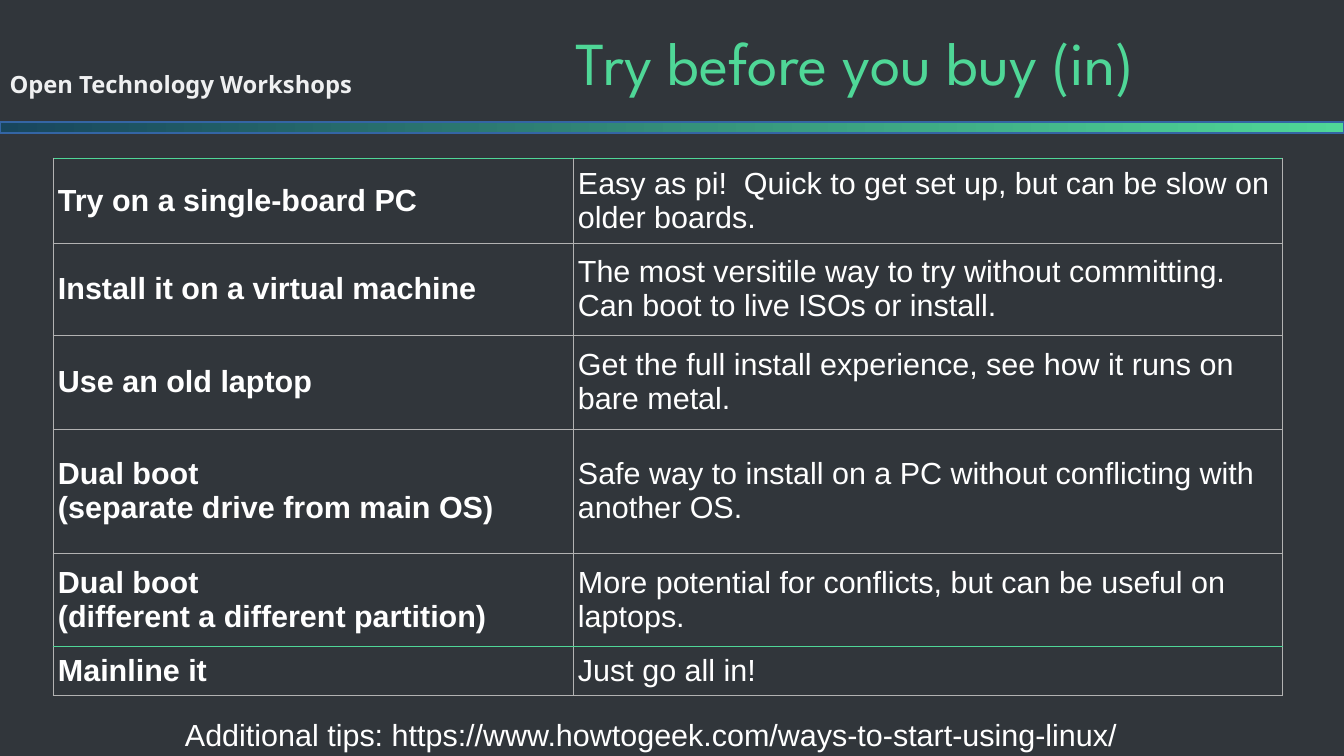
"""Build the slide that compares ways to try an open system before switching."""
from lxml import etree
from pptx import Presentation, util as u
from pptx.dml.color import RGBColor
from pptx.enum import shapes, text
from pptx.oxml import ns

PX = 914400 / 122
GREEN, GREY, WHITE = "4FD797", "B2B2B2", "FFFFFF"


def rgb(value):
    return RGBColor.from_string(value)


def write(tf, lines, size, font, color, bold=False, align=text.PP_ALIGN.LEFT):
    tf.word_wrap = True
    for i, line in enumerate(lines):
        p = tf.paragraphs[0] if i == 0 else tf.add_paragraph()
        p.text = line
        p.alignment = align
        p.font.size, p.font.name, p.font.bold = u.Pt(size), font, bold
        p.font.color.rgb = rgb(color)


prs = Presentation()
prs.slide_width, prs.slide_height = round(1344 * PX), round(756 * PX)
s = prs.slides.add_slide(prs.slide_layouts[6])
s.background.fill.solid()
s.background.fill.fore_color.rgb = rgb("31363B")

box = [round(n * PX) for n in (-2, 60, 366, 49)]
tf = s.shapes.add_textbox(*box).text_frame
tf.margin_left = tf.margin_right = tf.margin_top = tf.margin_bottom = 0
tf.vertical_anchor = text.MSO_ANCHOR.MIDDLE
write(tf, ["Open Technology Workshops"], 14, "Noto Sans", "EFF0F1", True, text.PP_ALIGN.CENTER)

box = [round(n * PX) for n in (0, 122, 1344, 11)]
sp = s.shapes.add_shape(shapes.MSO_SHAPE.RECTANGLE, *box)
sp.shadow.inherit = False
sp.fill.gradient()
sp.fill.gradient_angle = 0
for stop, color in zip(sp.fill.gradient_stops, ("18465D", GREEN)):
    stop.color.rgb = rgb(color)
sp.line.color.rgb = rgb("3465A4")
sp.line.width = 0

box = [round(n * PX) for n in (366, 0, 978, 122)]
tf = s.shapes.add_textbox(*box).text_frame
tf.vertical_anchor = text.MSO_ANCHOR.MIDDLE
write(tf, ["Try before you buy (in)"], 36, "League Spartan", GREEN, align=text.PP_ALIGN.CENTER)

options = [
    (85, ["Try on a single-board PC"],
     "Easy as pi!  Quick to get set up, but can be slow on older boards."),
    (92, ["Install it on a virtual machine"],
     "The most versitile way to try without committing.  Can boot to live ISOs or install."),
    (94, ["Use an old laptop"],
     "Get the full install experience, see how it runs on bare metal."),
    (124, ["Dual boot", "(separate drive from main OS)"],
     "Safe way to install on a PC without conflicting with another OS."),
    (93, ["Dual boot", "(different a different partition)"],
     "More potential for conflicts, but can be useful on laptops."),
    (49, ["Mainline it"], "Just go all in!"),
]
widths = (520, 710)
last = len(options) - 1
box = [round(n * PX) for n in (53, 158, sum(widths), sum(o[0] for o in options))]
table = s.shapes.add_table(len(options), len(widths), *box).table
table.first_row = table.horz_banding = False
for column, width in zip(table.columns, widths):
    column.width = round(width * PX)

for r, (height, names, note) in enumerate(options):
    table.rows[r].height = round(height * PX)
    edges = {
        "lnL": GREY,
        "lnR": GREY,
        "lnT": GREEN if r in (0, last) else GREY,
        "lnB": GREEN if r == last - 1 else GREY,
    }
    for c, lines in enumerate((names, [note])):
        cell = table.cell(r, c)
        cell.fill.background()
        cell.vertical_anchor = text.MSO_ANCHOR.MIDDLE
        cell.margin_left = cell.margin_right = round(5 * PX)
        cell.margin_top = cell.margin_bottom = round(6 * PX)
        write(cell.text_frame, lines, 18, "Arial", WHITE, c == 0)
        tc_pr = cell._tc.get_or_add_tcPr()
        for i, (edge, color) in enumerate(edges.items()):
            ln = etree.Element(ns.qn("a:" + edge), w=str(u.Pt(0.57)))
            fill = etree.SubElement(ln, ns.qn("a:solidFill"))
            etree.SubElement(fill, ns.qn("a:srgbClr"), val=color)
            tc_pr.insert(i, ln)

box = [round(n * PX) for n in (173, 710, 976, 52)]
tf = s.shapes.add_textbox(*box).text_frame
write(tf, ["Additional tips: https://www.howtogeek.com/ways-to-start-using-linux/"], 18, "Arial", WHITE)

prs.save("out.pptx")
